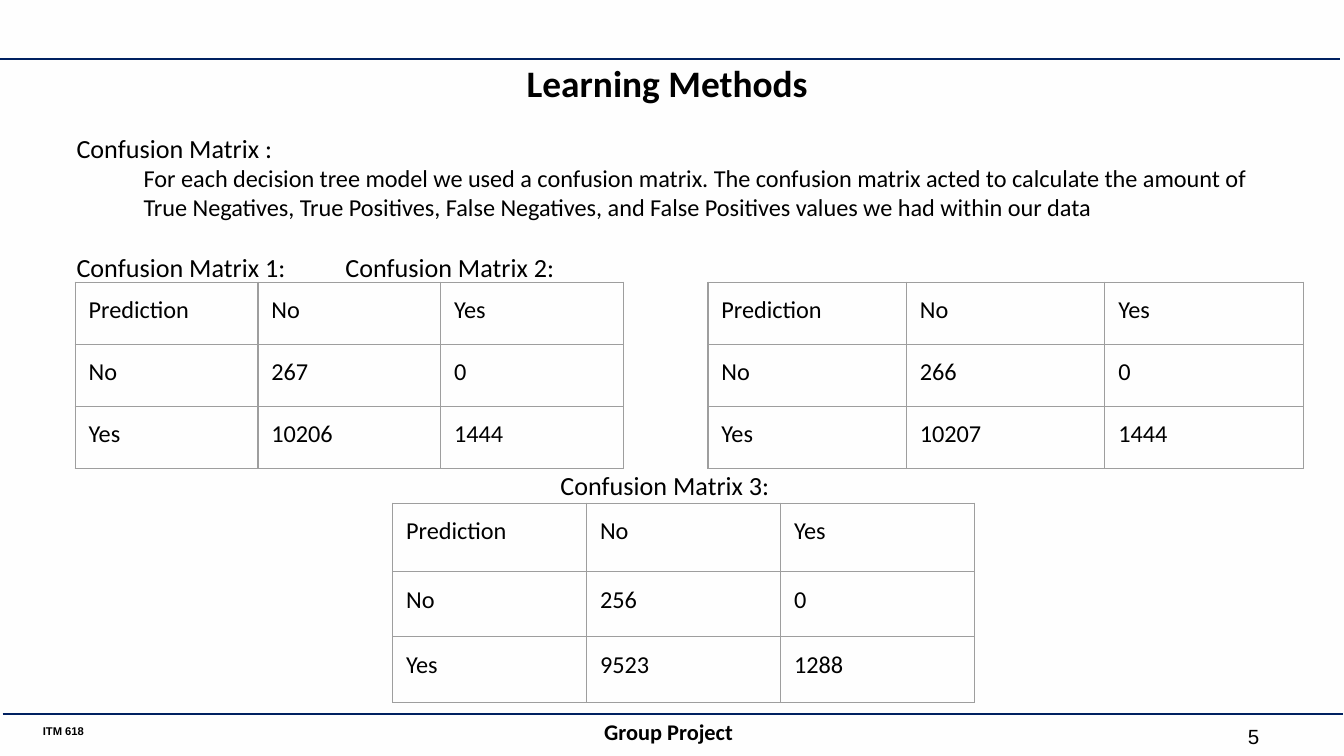
from lxml import etree
from pptx import Presentation
from pptx.dml.color import RGBColor
from pptx.enum.shapes import MSO_CONNECTOR
from pptx.enum.text import MSO_ANCHOR, MSO_AUTO_SIZE, PP_ALIGN
from pptx.oxml.ns import qn
from pptx.util import Pt

LEFT, CENTER, RIGHT = PP_ALIGN.LEFT, PP_ALIGN.CENTER, PP_ALIGN.RIGHT
TOP, MIDDLE = MSO_ANCHOR.TOP, MSO_ANCHOR.MIDDLE
STRAIGHT = MSO_CONNECTOR.STRAIGHT
NO_FIT = MSO_AUTO_SIZE.NONE

COLORS = {"background": "FEFEFE", "text": "000000", "rule": "002060", "border": "9E9E9E"}
SECOND_CAPTION = 340  # tab position of the right-hand caption

# left, top, column width, row heights, values
MATRICES = [
    (40.3, 151.2, 97.9, (33.2, 33.2, 33.2), (("267", "0"), ("10206", "1444"))),
    (210.4, 269.6, 103.9, (36.6, 35, 35), (("256", "0"), ("9523", "1288"))),
    (379.3, 151.2, 106.3, (33.2, 33.2, 33.2), (("266", "0"), ("10207", "1444"))),
]


def color(name):
    return RGBColor.from_string(COLORS[name])


def write(para, text, size=14, font="Calibri", bold=False, align=LEFT,
          before=0, spacing=1.0):
    """Put one formatted span of text into a paragraph."""
    para.alignment = align
    para.space_before = Pt(before)
    para.line_spacing = spacing
    span = para.add_run()
    span.text = text
    span.font.name = font
    span.font.size = Pt(size)
    span.font.bold = bold
    span.font.color.rgb = color("text")


def prepare_frame(box, anchor=TOP):
    frame = box.text_frame
    frame.word_wrap = True
    frame.auto_size = NO_FIT
    frame.vertical_anchor = anchor
    frame.margin_left = frame.margin_right = Pt(5)
    frame.margin_top = frame.margin_bottom = Pt(3)
    return frame


def place(box, left, top, width, height):
    box.left, box.top, box.width, box.height = Pt(left), Pt(top), Pt(width), Pt(height)


def add_label(page, bounds, text, anchor=TOP, **style):
    box = page.shapes.add_textbox(*map(Pt, bounds))
    write(prepare_frame(box, anchor).paragraphs[0], text, **style)


def add_rule(page, left, top, width):
    rule = page.shapes.add_connector(STRAIGHT, Pt(left), Pt(top), Pt(left + width), Pt(top))
    rule.line.color.rgb = color("rule")
    rule.line.width = Pt(1.25)
    etree.SubElement(rule._element.spPr, qn("a:effectLst"))


def remove_bullet(para, indent=0, tab=None):
    properties = para._p.get_or_add_pPr()
    properties.set("marL", str(Pt(indent)))
    properties.set("indent", "0")
    etree.SubElement(properties, qn("a:buNone"))
    if tab:
        stops = etree.SubElement(properties, qn("a:tabLst"))
        etree.SubElement(stops, qn("a:tab"), pos=str(Pt(tab)), algn="l")


def fill_body(box):
    lines = [
        ("Confusion Matrix :", {}, {}),
        ("For each decision tree model we used a confusion matrix. The confusion matrix "
         "acted to calculate the amount of True Negatives, True Positives, False Negatives, "
         "and False Positives values we had within our data", {"size": 13}, {"indent": 36}),
        ("Confusion Matrix 1:\tConfusion Matrix 2:", {"before": 16}, {"tab": SECOND_CAPTION}),
        ("Confusion Matrix 3: ", {"before": 100, "align": CENTER}, {}),
    ]
    frame = prepare_frame(box)
    for index, (text, style, layout) in enumerate(lines):
        para = frame.add_paragraph() if index else frame.paragraphs[0]
        write(para, text, **style)
        remove_bullet(para, **layout)


def set_borders(cell):
    properties = cell._tc.get_or_add_tcPr()
    for index, side in enumerate(("lnL", "lnR", "lnT", "lnB")):
        border = etree.Element(qn(f"a:{side}"), w=str(Pt(0.75)))
        fill = etree.SubElement(border, qn("a:solidFill"))
        etree.SubElement(fill, qn("a:srgbClr"), val=COLORS["border"])
        properties.insert(index, border)


def add_matrix(page, left, top, column_width, row_heights, values):
    rows = [("Prediction", "No", "Yes"), ("No", *values[0]), ("Yes", *values[1])]
    frame = page.shapes.add_table(3, 3, Pt(left), Pt(top),
                                  Pt(3 * column_width), Pt(sum(row_heights)))
    table = frame.table
    table.first_row = table.horz_banding = False
    for column in table.columns:
        column.width = Pt(column_width)
    for row, height, texts in zip(table.rows, row_heights, rows):
        row.height = Pt(height)
        for cell, text in zip(row.cells, texts):
            cell.margin_left = cell.margin_right = Pt(7.2)
            cell.margin_top = cell.margin_bottom = Pt(7.2)
            cell.fill.background()
            set_borders(cell)
            write(cell.text_frame.paragraphs[0], text, size=13)


def main():
    deck = Presentation()
    deck.slide_width, deck.slide_height = Pt(720), Pt(405)
    page = deck.slides.add_slide(deck.slide_layouts[1])
    page.background.fill.solid()
    page.background.fill.fore_color.rgb = color("background")

    # Title and body
    title, body = page.placeholders
    place(title, 36, 31.7, 643, 31.7)
    write(prepare_frame(title).paragraphs[0], "Learning Methods",
          size=20, bold=True, align=CENTER, spacing=0.9)
    place(body, 36, 67.7, 643.7, 313)
    fill_body(body)

    # Rules and footer
    add_rule(page, 0, 31.7, 718)
    add_rule(page, 1.4, 382.4, 718)
    add_label(page, (173.5, 381.6, 369.4, 20.2), "Group Project",
              size=12, bold=True, align=CENTER)
    add_label(page, (18, 385.2, 33.1, 13), "ITM 618", size=6, font="Arial", bold=True)
    add_label(page, (517.7, 383.8, 162, 21.6), "5", anchor=MIDDLE,
              size=11, font="Arial", align=RIGHT)

    # Confusion matrices
    for matrix in MATRICES:
        add_matrix(page, *matrix)

    deck.save("out.pptx")


if __name__ == "__main__":
    main()
